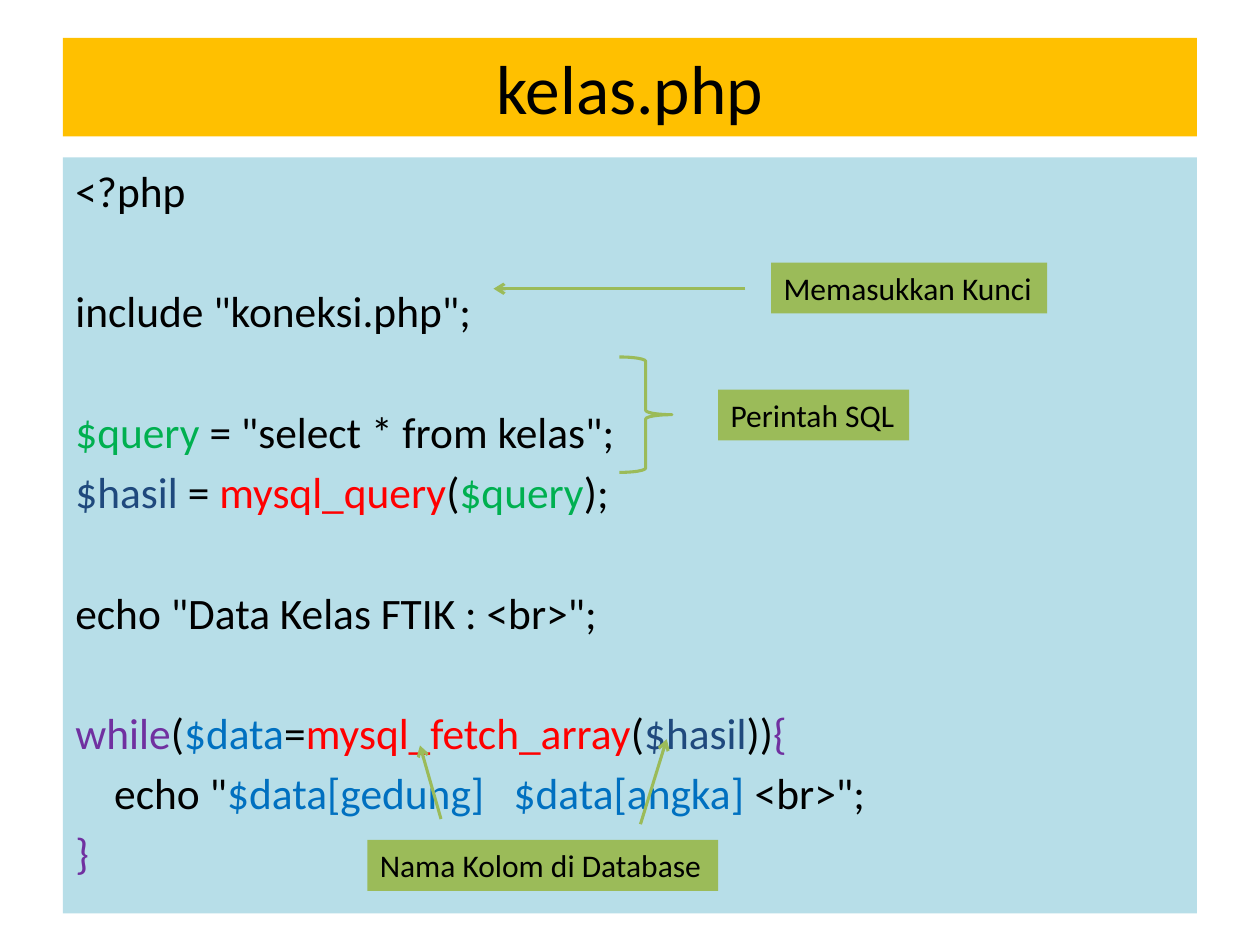
from dataclasses import dataclass

from lxml import etree
from pptx import Presentation
from pptx import util as u
from pptx.dml.color import RGBColor
from pptx.enum import shapes, text
from pptx.oxml.ns import qn

COLUMNS, ROWS = 120, 90
deck = Presentation()
deck.slide_width, deck.slide_height = u.Inches(10), u.Inches(7.5)
CELL_WIDTH, CELL_HEIGHT = deck.slide_width / COLUMNS, deck.slide_height / ROWS


@dataclass(frozen=True)
class Theme:
    """Colours, font and type sizes of the slide."""
    font: str = "Calibri"
    banner: str = "FFC000"
    panel: str = "B7DEE8"
    accent: str = "9BBB59"
    ink: str = "000000"
    query: str = "00B050"
    result: str = "1F497D"
    function: str = "FF0000"
    keyword: str = "7030A0"
    data: str = "0070C0"
    title_size: float = 39.6
    code_size: float = 24.8
    label_size: float = 18
    line_gap: float = 4.5
    blank_line: float = 34.7
    stroke: float = 1.75


THEME = Theme()


@dataclass(frozen=True)
class Area:
    """A rectangle in grid columns and rows."""
    column: float
    row: float
    columns: float
    rows: float


@dataclass(frozen=True)
class Label:
    """A note beside the code."""
    words: str
    area: Area


@dataclass(frozen=True)
class Arrow:
    """An arrow between two grid points, pointing at the end."""
    start: tuple[float, float]
    end: tuple[float, float]


@dataclass(frozen=True)
class CodeLine:
    """Coloured spans of one line, with its gap above and indent."""
    spans: tuple[tuple[str, str], ...]
    after_blank: bool = False
    indent: float = 0


CODE = [
    CodeLine((("<?php", THEME.ink),)),
    CodeLine((('include "koneksi.php";', THEME.ink),), after_blank=True),
    CodeLine((("$query", THEME.query), (' = "select * from kelas";', THEME.ink)),
             after_blank=True),
    CodeLine((("$hasil", THEME.result), (" = ", THEME.ink),
              ("mysql_query", THEME.function), ("(", THEME.ink),
              ("$query", THEME.query), (");", THEME.ink))),
    CodeLine((('echo "Data Kelas FTIK : <br>";', THEME.ink),), after_blank=True),
    CodeLine((("while", THEME.keyword), ("(", THEME.ink), ("$data", THEME.data),
              ("=", THEME.ink), ("mysql_fetch_array", THEME.function),
              ("(", THEME.ink), ("$hasil", THEME.result), ("))", THEME.ink),
              ("{", THEME.keyword)), after_blank=True),
    CodeLine((('echo "', THEME.ink), ("$data[gedung]   $data[angka]", THEME.data),
              (' <br>";', THEME.ink)), indent=3.7),
    CodeLine((("}", THEME.keyword),)),
]
LABELS = [
    Label("Memasukkan Kunci", Area(73.44, 25, 26.3, 4.85)),
    Label("Perintah SQL", Area(68.4, 37.1, 18.2, 4.85)),
    Label("Nama Kolom di Database", Area(35, 80, 33.4, 4.85)),
]
ARROWS = [
    Arrow((71, 27.5), (47, 27.5)),
    Arrow((42, 78), (40, 71)),
    Arrow((61, 78.5), (63.5, 70.4)),
]


def across(columns: float) -> int:
    """Turn grid columns into a length."""
    return round(columns * CELL_WIDTH)


def down(rows: float) -> int:
    """Turn grid rows into a length."""
    return round(rows * CELL_HEIGHT)


def add_box(page, area: Area, fill: str | None = None,
            preset=shapes.MSO_SHAPE.RECTANGLE):
    """Add a shadowless preset: filled, or outlined when no fill is given."""
    box = page.shapes.add_shape(preset, across(area.column), down(area.row),
                                across(area.columns), down(area.rows))
    box.shadow.inherit = False
    if fill:
        box.fill.solid()
        box.fill.fore_color.rgb = RGBColor.from_string(fill)
        box.line.fill.background()
    else:
        box.fill.background()
        style_line(box.line)
    return box


def style_line(line) -> None:
    """Give a line the accent colour and weight."""
    line.color.rgb = RGBColor.from_string(THEME.accent)
    line.width = u.Pt(THEME.stroke)


def write(para, words: str, *, size: float, color: str = THEME.ink,
          align=text.PP_ALIGN.LEFT) -> None:
    """Append a formatted span to a paragraph."""
    para.alignment = align
    span = para.add_run()
    span.text = words
    span.font.name = THEME.font
    span.font.size = u.Pt(size)
    span.font.color.rgb = RGBColor.from_string(color)


def add_title(page, words: str, area: Area) -> None:
    """Add the title banner."""
    box = add_box(page, area, THEME.banner)
    write(box.text_frame.paragraphs[0], words, size=THEME.title_size,
          align=text.PP_ALIGN.CENTER)


def add_code(page, lines: list[CodeLine], area: Area) -> None:
    """Add the code panel, one paragraph per line."""
    frame = add_box(page, area, THEME.panel).text_frame
    frame.word_wrap = True
    frame.vertical_anchor = text.MSO_ANCHOR.TOP
    for index, line in enumerate(lines):
        para = frame.add_paragraph() if index else frame.paragraphs[0]
        gap = THEME.line_gap + line.after_blank * THEME.blank_line
        para.space_before = u.Pt(gap)
        if line.indent:
            para._p.get_or_add_pPr().set("marL", str(across(line.indent)))
        for words, color in line.spans:
            write(para, words, size=THEME.code_size, color=color)


def add_label(page, label: Label) -> None:
    """Add a note that keeps its words on one line."""
    frame = add_box(page, label.area, THEME.accent).text_frame
    frame.word_wrap = False
    frame.vertical_anchor = text.MSO_ANCHOR.TOP
    frame.auto_size = text.MSO_AUTO_SIZE.SHAPE_TO_FIT_TEXT
    write(frame.paragraphs[0], label.words, size=THEME.label_size)


def add_arrow(page, arrow: Arrow) -> None:
    """Add a straight connector with an open arrowhead."""
    (left, top), (right, bottom) = arrow.start, arrow.end
    line = page.shapes.add_connector(shapes.MSO_CONNECTOR.STRAIGHT, across(left),
                                     down(top), across(right), down(bottom))
    style_line(line.line)
    etree.SubElement(line.line._get_or_add_ln(), qn("a:tailEnd"), type="arrow")
    etree.SubElement(line._element.spPr, qn("a:effectLst"))


page = deck.slides.add_slide(deck.slide_layouts[6])
add_title(page, "kelas.php", Area(6, 3.6, 108, 9.4))
add_code(page, CODE, Area(6, 15, 108, 72))
add_box(page, Area(59, 34, 5, 11), preset=shapes.MSO_SHAPE.RIGHT_BRACE)
for label in LABELS:
    add_label(page, label)
for arrow in ARROWS:
    add_arrow(page, arrow)
deck.save("out.pptx")
